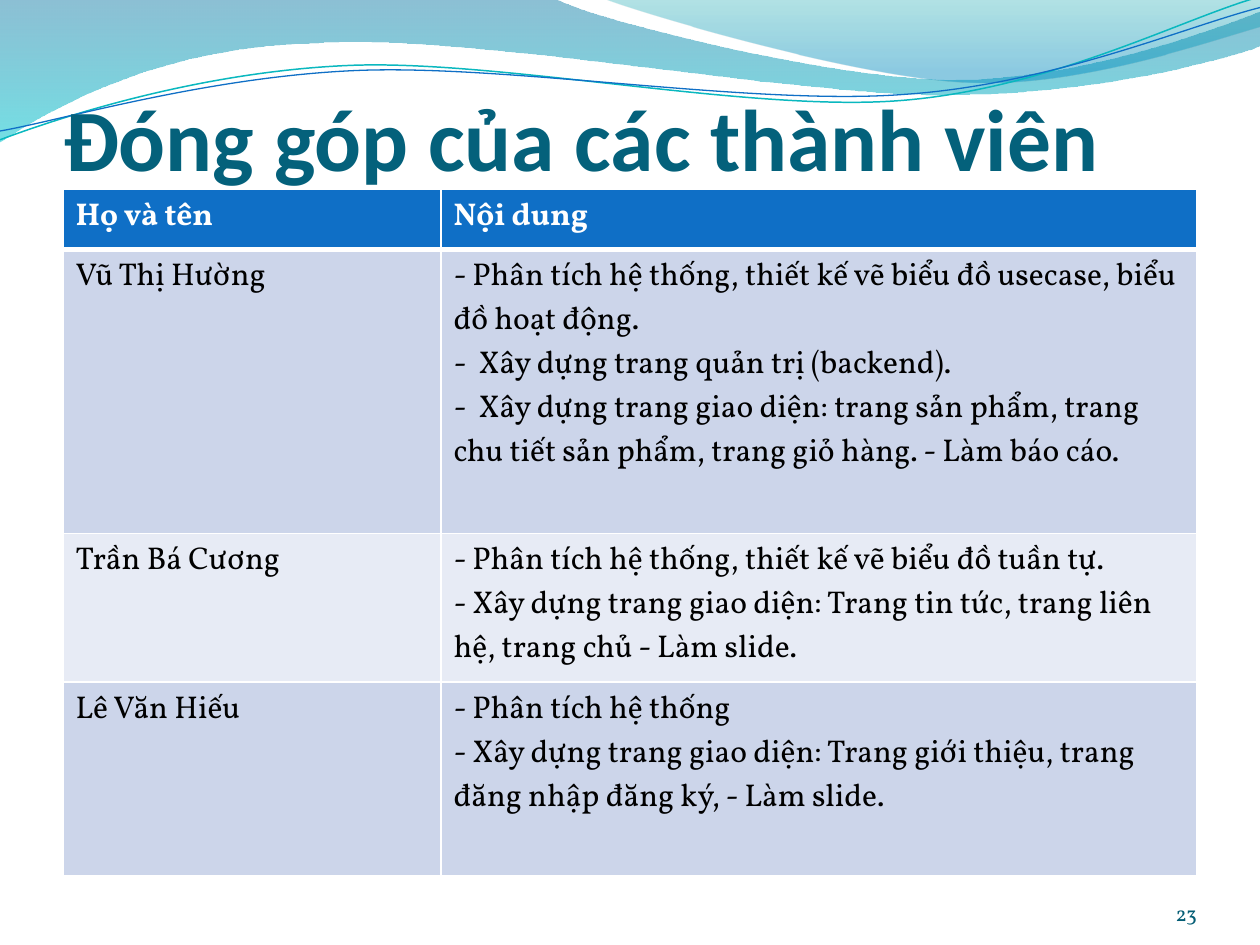
"""Build the slide that lists what each team member contributed."""
from lxml import etree
from pptx import Presentation, util as u
from pptx.dml.color import RGBColor
from pptx.enum import text
from pptx.oxml.ns import qn

COLORS = {
    "title": "04617B", "number": "045D75", "header": "0F6FC6", "odd": "CCD5EA",
    "even": "E7EBF5", "white": "FFFFFF", "black": "000000", "teal": "0AB8BF",
    "ocean": "0074A1", "cyan": "00C6CF", "sea": "00A1A9", "sky": "008BBF",
}
BANDS = [
    ([[(0, 0)], [(4.4, -0.01)], [(4.76, 0.17), (6.64, 0.63), (7.58, 0.63)],
      [(8.53, 0.63), (9.58, 0.26), (10, 0.09)], [(10.01, 0.36)],
      [(9.83, 0.44), (8.7, 0.76), (7.46, 0.75)], [(6.22, 0.75), (3.82, 0.28), (2.57, 0.34)],
      [(1.29, 0.36), (0.46, 0.83), (-0.01, 1.13)], [(0, 0)]],
     [(0, "ocean", 45), (1, "cyan", 55)]),
    ([[(4.79, -0.01)], [(5.09, 0.11), (6.82, 0.62), (7.69, 0.65)],
      [(8.56, 0.69), (9.61, 0.32), (10, 0.21)], [(10, 0)], [(4.79, -0.01)]],
     [(0, "sea", 30), (0.8, "sky", 45)]),
]
STRANDS = [
    ([[(0, 1.11)], [(0.48, 0.93), (1.58, 0.57), (2.77, 0.52)],
      [(3.95, 0.47), (5.93, 0.89), (7.13, 0.8)], [(8.33, 0.71), (9.38, 0.15), (9.98, -0.02)]],
     "teal", 0.85),
    ([[(0, 1.04)], [(0.47, 0.96), (1.64, 0.61), (2.83, 0.56)],
      [(4.03, 0.51), (5.97, 0.84), (7.17, 0.75)], [(8.36, 0.67), (9.41, 0.21), (10, 0.06)]],
     "header", 0.75),
]
MEMBERS = [
    ("Họ và tên", ["Nội dung"]),
    ("Vũ Thị Hường", [
        "- Phân tích hệ thống, thiết kế vẽ biểu đồ usecase, biểu đồ hoạt động.",
        "-  Xây dựng trang quản trị (backend).",
        "-  Xây dựng trang giao diện: trang sản phẩm, trang chu tiết sản phẩm, "
        "trang giỏ hàng. - Làm báo cáo."]),
    ("Trần Bá Cương", [
        "- Phân tích hệ thống, thiết kế vẽ biểu đồ tuần tự.",
        "- Xây dựng trang giao diện: Trang tin tức, trang liên hệ, trang chủ - Làm slide."]),
    ("Lê Văn Hiếu", [
        "- Phân tích hệ thống",
        "- Xây dựng trang giao diện: Trang giới thiệu, trang đăng nhập đăng ký, - Làm slide."]),
]


def color(name):
    return RGBColor.from_string(COLORS[name])


def write(frame, lines, size=18, font="Vollkorn", ink="black", bold=False, align="LEFT"):
    for index, line in enumerate(lines):
        para = frame.paragraphs[0] if index == 0 else frame.add_paragraph()
        para.alignment = getattr(text.PP_ALIGN, align)
        span = para.add_run()
        span.text = line
        span.font.size, span.font.name, span.font.bold = u.Pt(size), font, bold
        span.font.color.rgb = color(ink)


class Slide:
    """Hold the current page and draw each kind of element on it."""

    def __init__(self, deck):
        self.page = deck.slides.add_slide(deck.slide_layouts[5])
        self.shapes = self.page.shapes

    def outline(self, segments, close):
        """Draw segments of one point as lines and of three points as Bézier curves."""
        points = [(u.Cm(x * 2.54), u.Cm(y * 2.54)) for segment in segments for x, y in segment]
        builder = self.shapes.build_freeform(*points[0])
        builder.add_line_segments(points[1:], close=close)
        shape = builder.convert_to_shape()
        shape.shadow.inherit = False
        lines = iter(list(shape._element.spPr.iter(qn("a:lnTo"))))
        for segment in segments[1:]:
            steps = [next(lines) for _ in segment]
            if len(steps) == 3:
                curve = etree.Element(qn("a:cubicBezTo"))
                steps[0].addprevious(curve)
                for step in steps:
                    curve.append(step[0])
                    step.getparent().remove(step)
        return shape

    def band(self, segments, stops):
        shape = self.outline(segments, True)
        shape.line.fill.background()
        shape.fill.gradient()
        shape.fill.gradient_angle = 270
        for stop, (position, name, _) in zip(shape.fill.gradient_stops, stops):
            stop.position = position
            stop.color.rgb = color(name)
        tints = shape._element.spPr.iter(qn("a:srgbClr"))
        for tint, (_, _, opacity) in zip(list(tints), stops):
            etree.SubElement(tint, qn("a:alpha"), val=str(opacity * 1000))

    def strand(self, segments, name, width):
        shape = self.outline(segments, False)
        shape.fill.background()
        shape.line.color.rgb = color(name)
        shape.line.width = u.Pt(width)

    def title(self, line):
        box = self.shapes.title
        box.left, box.top, box.width, box.height = map(u.Cm, (1.27, 0.64, 22.86, 3.18))
        frame = box.text_frame
        frame.auto_size = text.MSO_AUTO_SIZE.NONE
        frame.vertical_anchor = text.MSO_ANCHOR.BOTTOM
        frame.margin_left = frame.margin_right = frame.margin_bottom = 0
        frame.margin_top = u.Cm(0.13)
        write(frame, [line], size=50, font="Calibri", ink="title", bold=True)
        self.shapes._spTree.append(box._element)

    def border(self, cell, side, width):
        line = etree.SubElement(cell._tc.get_or_add_tcPr(), qn(f"a:ln{side}"), w=str(u.Pt(width)))
        fill = etree.SubElement(line, qn("a:solidFill"))
        etree.SubElement(fill, qn("a:srgbClr"), val=COLORS["white"])

    def table(self, members, widths, heights):
        frame = self.shapes.add_table(len(members), len(widths), *map(
            u.Cm, (1.27, 3.81, sum(widths), sum(heights))))
        table = frame.table
        for column, width in zip(table.columns, widths):
            column.width = u.Cm(width)
        for index, (name, tasks) in enumerate(members):
            table.rows[index].height = u.Cm(heights[index])
            header = index == 0
            fill = "header" if header else "odd" if index % 2 else "even"
            for cell, lines in zip(table.rows[index].cells, ([name], tasks)):
                for side in "LRTB":
                    thick = (index, side) in ((0, "B"), (1, "T"))
                    self.border(cell, side, 3 if thick else 1)
                cell.fill.solid()
                cell.fill.fore_color.rgb = color(fill)
                write(cell.text_frame, lines, ink="white" if header else "black", bold=header)

    def number(self, line):
        box = self.shapes.add_textbox(*map(u.Cm, (22.02, 17.65, 2.11, 1.02)))
        frame = box.text_frame
        frame.word_wrap = True
        frame.vertical_anchor = text.MSO_ANCHOR.BOTTOM
        frame.margin_left = frame.margin_right = frame.margin_top = frame.margin_bottom = 0
        write(frame, [line], size=12, ink="number", align="RIGHT")


def main():
    deck = Presentation()
    deck.slide_width, deck.slide_height = u.Cm(25.4), u.Cm(19.05)
    slide = Slide(deck)
    for band in BANDS:
        slide.band(*band)
    for strand in STRANDS:
        slide.strand(*strand)
    slide.title("Đóng góp của các thành viên")
    slide.table(MEMBERS, widths=(7.62, 15.24), heights=(1.22, 5.72, 3, 3.91))
    slide.number("23")
    deck.save("out.pptx")


if __name__ == "__main__":
    main()
